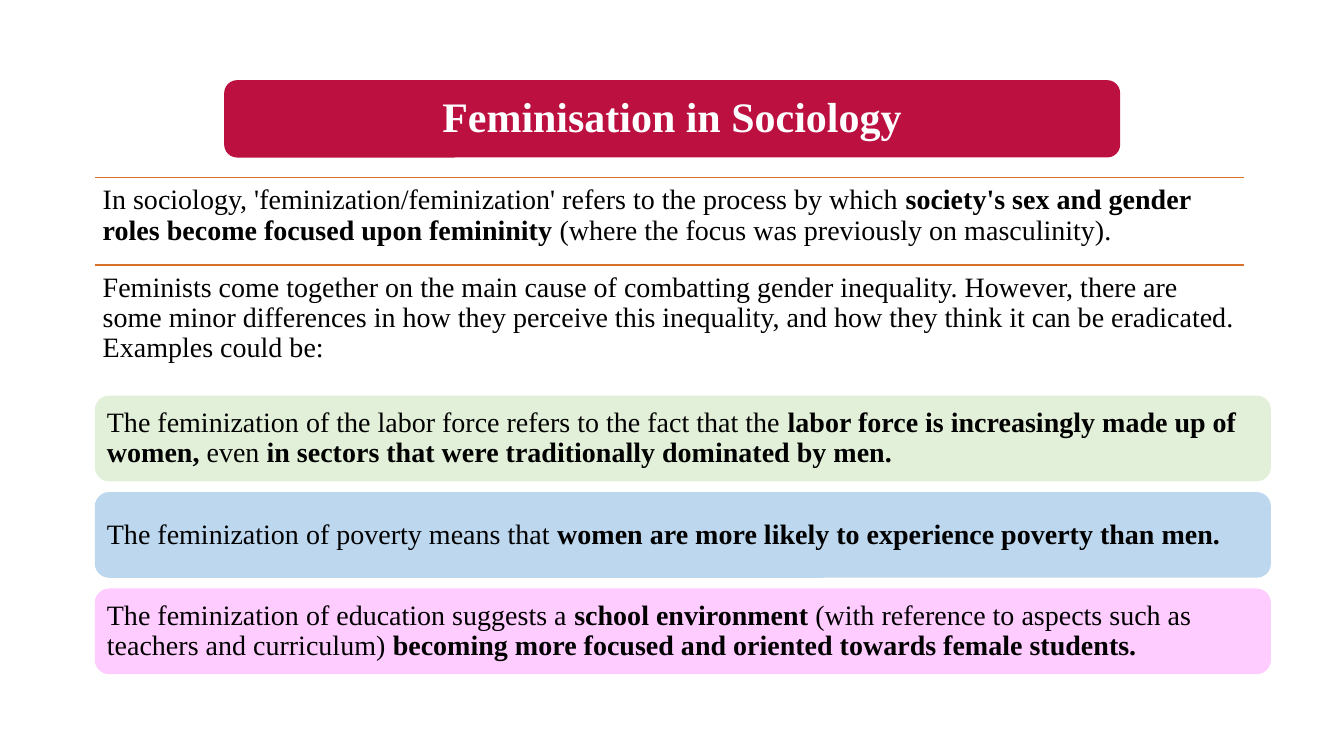
from lxml.etree import SubElement
from pptx import Presentation
from pptx.dml.color import RGBColor
from pptx.enum.shapes import MSO_CONNECTOR, MSO_SHAPE
from pptx.enum.text import MSO_ANCHOR, MSO_AUTO_SIZE, PP_ALIGN
from pptx.oxml.ns import qn
from pptx.util import Cm, Pt

TITLE = "Feminisation in Sociology"
# Each text is a list of (words, bold) runs.
INTRO = [
    [("In sociology, 'feminization/feminization' refers to the process by which ", False),
     ("society's sex and gender roles become focused upon femininity ", True),
     ("(where the focus was previously on masculinity).", False)],
    [("Feminists come together on the main cause of combatting gender inequality. "
      "However, there are some minor differences in how they perceive this inequality, "
      "and how they think it can be eradicated. Examples could be:", False)],
]
EXAMPLES = [
    ("E2F0D9",
     [("The feminization of the labor force refers to the fact that the ", False),
      ("labor force is increasingly made up of women,", True),
      (" even ", False),
      ("in sectors that were traditionally dominated by men.", True)]),
    ("BDD7EE",
     [("The feminization of poverty means that ", False),
      ("women are more likely to experience poverty than men.", True)]),
    ("FFCCFF",
     [("The feminization of education suggests a ", False),
      ("school environment ", True),
      ("(with reference to aspects such as teachers and curriculum) ", False),
      ("becoming more focused and oriented towards female students.", True)]),
]
LEFT = 2.39
INTRO_TOP, INTRO_WIDTH, INTRO_STEP = 4.48, 28.96, 2.2
CARD_TOP, CARD_WIDTH, CARD_HEIGHT, CARD_STEP = 9.97, 29.64, 2.16, 2.43
TITLE_BOX = (Cm(5.65), Cm(2.02), Cm(22.58), Cm(1.95))


def rgb(code):
    return RGBColor.from_string(code)


def write(shape, runs, size=20, color="000000", align=PP_ALIGN.LEFT,
          anchor=MSO_ANCHOR.MIDDLE):
    tf = shape.text_frame
    tf.word_wrap = True
    tf.auto_size = MSO_AUTO_SIZE.NONE
    tf.vertical_anchor = anchor
    tf.margin_left = tf.margin_right = tf.margin_top = tf.margin_bottom = Cm(0.2)
    p = tf.paragraphs[0]
    p.alignment = align
    p.line_spacing = 0.9
    p.font.name = "Times New Roman"
    p.font.size = Pt(size)
    p.font.color.rgb = rgb(color)
    for words, bold in runs:
        r = p.add_run()
        r.text = words
        r.font.bold = bold


def add_card(s, box, fill):
    card = s.shapes.add_shape(MSO_SHAPE.ROUNDED_RECTANGLE, *box)
    card.shadow.inherit = False
    card.fill.solid()
    card.fill.fore_color.rgb = rgb(fill)
    card.line.fill.background()
    return card


def add_rule(s, top):
    rule = s.shapes.add_connector(MSO_CONNECTOR.STRAIGHT, Cm(LEFT), Cm(top),
                                  Cm(LEFT + INTRO_WIDTH), Cm(top))
    rule.line.color.rgb = rgb("D7712C")
    rule.line.width = Pt(1)
    SubElement(rule.element.spPr, qn("a:effectLst"))


prs = Presentation()
prs.slide_width, prs.slide_height = Cm(33.87), Cm(19.05)
s = prs.slides.add_slide(prs.slide_layouts[5])

title = s.shapes.title
title.left, title.top, title.width, title.height = TITLE_BOX
write(title, [(TITLE, True)], 30, "FFFFFF", PP_ALIGN.CENTER)
banner = add_card(s, TITLE_BOX, "BC1041")
title.element.addprevious(banner.element)  # the banner lies behind the title

for i, runs in enumerate(INTRO):
    top = INTRO_TOP + i * INTRO_STEP
    add_rule(s, top)
    box = s.shapes.add_textbox(Cm(LEFT), Cm(top), Cm(INTRO_WIDTH), Cm(INTRO_STEP))
    write(box, runs, anchor=MSO_ANCHOR.TOP)

for i, (fill, runs) in enumerate(EXAMPLES):
    box = (Cm(LEFT), Cm(CARD_TOP + i * CARD_STEP), Cm(CARD_WIDTH), Cm(CARD_HEIGHT))
    write(add_card(s, box, fill), runs)

prs.save("out.pptx")
